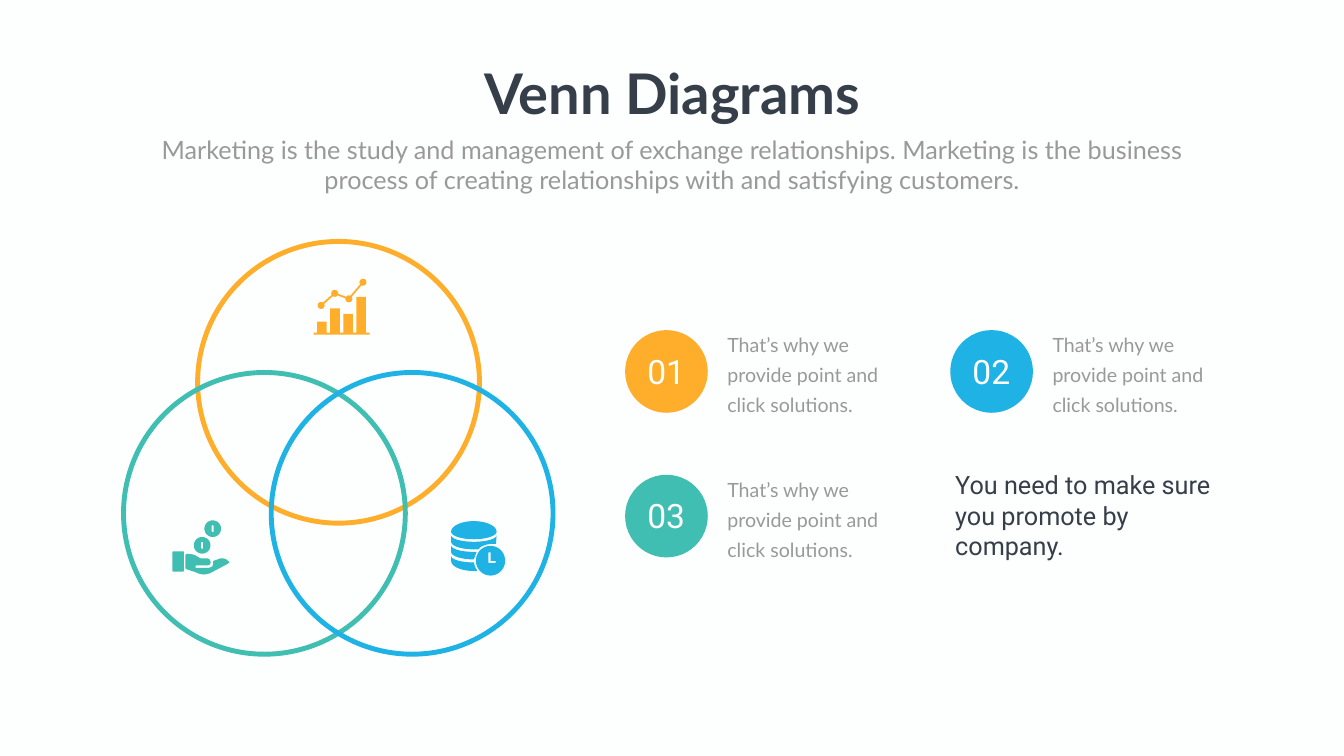
"""Builds a Venn diagram slide with three outlined circles and numbered notes."""
import math
from dataclasses import dataclass

from lxml import etree
from pptx import Presentation
from pptx import util as u
from pptx.dml.color import RGBColor
from pptx.enum import shapes, text
from pptx.oxml.ns import qn

PX = 9144


@dataclass(frozen=True)
class Theme:
    back: str = "FDFFFE"
    dark: str = "353E49"
    grey: str = "989998"
    white: str = "FFFFFF"
    orange: str = "FFAE2B"
    blue: str = "1EB2E5"
    teal: str = "3FBEB1"
    head: str = "Lato"
    plain: str = "Roboto"
    title: int = 80
    number: int = 48
    lead: int = 36
    body: int = 28
    leading: int = 43
    ring: int = 7


T = Theme()


def rgb(color):
    return RGBColor.from_string(color)


def px(*lengths):
    return [u.Emu(n * PX) for n in lengths]


def paint(sp, color):
    sp.shadow.inherit = False
    sp.fill.solid()
    sp.fill.fore_color.rgb = rgb(color)
    sp.line.fill.background()


def write(sp, words, size, font, color, bold=False, centred=True, wrap=True, leading=None):
    tf = sp.text_frame
    tf.word_wrap = wrap
    tf.auto_size = text.MSO_AUTO_SIZE.SHAPE_TO_FIT_TEXT
    tf.vertical_anchor = text.MSO_ANCHOR.TOP
    p = tf.paragraphs[0]
    p.text = words
    p.alignment = text.PP_ALIGN.CENTER if centred else text.PP_ALIGN.LEFT
    if leading:
        p.line_spacing = u.Pt(leading)
    p.font.size, p.font.name, p.font.bold = u.Pt(size), font, bold
    p.font.color.rgb = rgb(color)


def label(s, box, *args, **kwargs):
    write(s.shapes.add_textbox(*px(*box)), *args, **kwargs)


def disc(s, x, y, size, color):
    paint(s.shapes.add_shape(shapes.MSO_SHAPE.OVAL, *px(x, y, size, size)), color)


def ring(s, x, y, color):
    sp = s.shapes.add_shape(shapes.MSO_SHAPE.OVAL, *px(x, y, 559, 559))
    sp.shadow.inherit = False
    sp.fill.background()
    sp.line.color.rgb = rgb(color)
    sp.line.width = u.Pt(T.ring)


def link(s, start, end, color):
    ln = s.shapes.add_connector(shapes.MSO_CONNECTOR.STRAIGHT, *px(*start, *end))
    ln.line.color.rgb = rgb(color)
    ln.line.width = u.Pt(2.5)
    etree.SubElement(ln._element.spPr, qn("a:effectLst"))


def outline(s, color, *contours):
    """Draws one filled shape; contours after the first are holes."""
    scaled = [[(x * PX, y * PX) for x, y in c] for c in contours]
    fb = s.shapes.build_freeform(*scaled[0][0], scale=1.0)
    fb.add_line_segments(scaled[0][1:], close=True)
    for hole in scaled[1:]:
        fb.move_to(*hole[0])
        fb.add_line_segments(hole[1:], close=True)
    paint(fb.convert_to_shape(), color)


def arc(cx, cy, rx, ry, start, end, steps=36):
    angles = [math.radians(start + (end - start) * i / steps) for i in range(steps + 1)]
    return [(cx + rx * math.cos(a), cy + ry * math.sin(a)) for a in angles]


def growth_icon(s, color):
    base, foot = 660, 664
    steps = [(622, base)]
    for x, top in zip(range(629, 708, 26), (638, 612, 623, 589)):
        steps += [(x, base), (x, top), (x + 19, top), (x + 19, base)]
    outline(s, color, steps + [(733, base), (733, foot), (622, foot)])
    dots = [(637, 606), (664, 582), (692, 593), (720, 560)]
    for start, end in zip(dots, dots[1:]):
        link(s, start, end, color)
    for x, y in dots:
        disc(s, x - 7, y - 7, 14, color)


def database_icon(s, color):
    cx, rx = 940, 45
    outline(s, color, arc(cx, 1055, rx, 21, 180, 360) + arc(cx, 1055, rx, 15, 0, 180))
    rim = [(984, 1079), (973, 1079), (963, 1081), (954, 1085), (949, 1090)]
    bands = [(1062, 0, rim, 1075, 15), (1082, 83, [(940, 1110)], 1095, 15),
             (1103, 90, [(942, 1124), (947, 1133)], 1113, 20)]
    for top, stop, cut, low, depth in bands:
        outline(s, color, arc(cx, top, rx, 13, 180, stop) + cut
                + arc(cx, low, rx, depth, 90, 180))
    hands = [(969, 1096), (973, 1096), (973, 1113), (983, 1113), (983, 1117), (969, 1117)]
    outline(s, color, arc(973, 1112.5, 29, 29.5, 0, 360), hands)


def savings_icon(s, color):
    cuff = s.shapes.add_shape(shapes.MSO_SHAPE.ROUNDED_RECTANGLE, *px(342, 1094, 23, 40))
    cuff.adjustments[0] = 0.08
    paint(cuff, color)
    hand = [(370, 1099), (377, 1099), (386, 1101), (393, 1105), (398, 1108), (412, 1108),
            (416, 1110), (418, 1115), (417, 1120), (412, 1122), (389, 1122), (387, 1125),
            (389, 1127), (412, 1127), (417, 1126), (421, 1124), (423, 1119), (423, 1113),
            (437, 1108), (444, 1108), (449, 1110), (455, 1115), (453, 1118), (425, 1133),
            (415, 1138), (405, 1140), (397, 1139), (387, 1135), (369, 1129), (368, 1127),
            (368, 1101)]
    outline(s, color, hand)
    for cx, cy in ((422, 1049), (401, 1082)):
        slot = arc(cx, cy - 5, 2, 2, 180, 360, 8) + arc(cx, cy + 5, 2, 2, 0, 180, 8)
        outline(s, color, arc(cx, cy, 16.5, 16.5, 0, 360), slot)


def note(s, x, y, number, color):
    disc(s, x, y, 164, color)
    label(s, (x + 32, y + 36, 99, 91), number, T.number, T.plain, T.white)
    label(s, (x + 193, y - 12, 363, 184), "That’s why we provide point and click solutions.",
          T.body, T.head, T.grey, centred=False, leading=T.leading)


def heading(s):
    sp = s.shapes.title
    sp.left, sp.top, sp.width, sp.height = px(939, 112, 789, 145)
    write(sp, "Venn Diagrams", T.title, T.head, T.dark, bold=True, wrap=False)
    label(s, (292, 261, 2082, 131),
          "Marketing is the study and management of exchange relationships. Marketing is "
          "the business process of creating relationships with and satisfying customers.",
          T.lead, T.head, T.grey)


def main():
    prs = Presentation()
    prs.slide_width, prs.slide_height = px(2666, 1500)
    s = prs.slides.add_slide(prs.slide_layouts[5])
    s.background.fill.solid()
    s.background.fill.fore_color.rgb = rgb(T.back)
    heading(s)
    for x, y, color in ((392, 479, T.orange), (245, 739, T.teal), (538, 739, T.blue)):
        ring(s, x, y, color)
    growth_icon(s, T.orange)
    database_icon(s, T.blue)
    savings_icon(s, T.teal)
    left, top, across, down = 1240, 655, 645, 287
    for i, color in enumerate((T.orange, T.blue, T.teal)):
        note(s, left + i % 2 * across, top + i // 2 * down, f"{i + 1:02}", color)
    label(s, (left + across, 927, 536, 192), "You need to make sure you promote by company.",
          T.lead, T.plain, T.dark, centred=False)
    prs.save("out.pptx")


if __name__ == "__main__":
    main()
